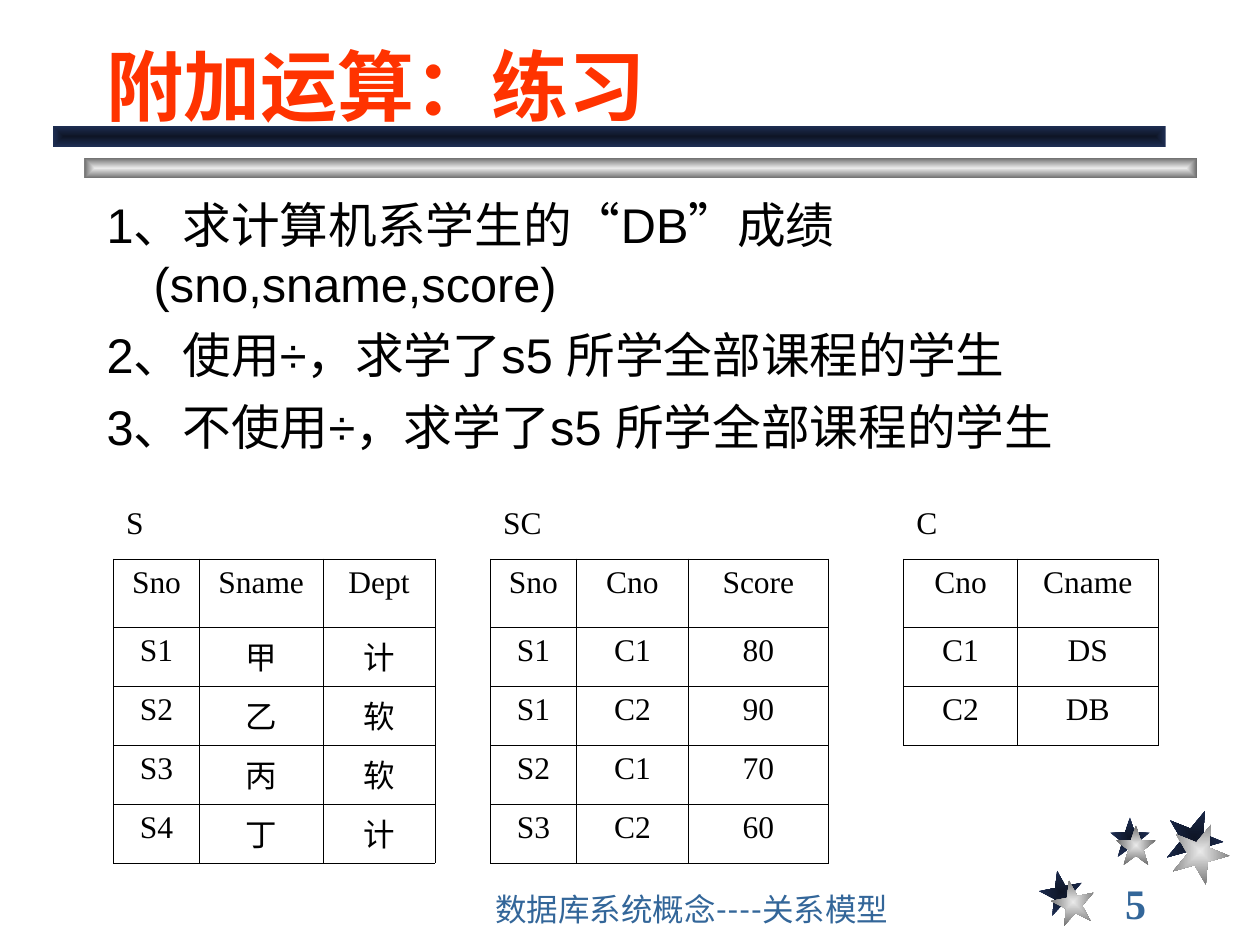
from lxml.etree import SubElement
from pptx import Presentation
from pptx.dml.color import RGBColor
from pptx.enum.shapes import MSO_SHAPE
from pptx.enum.text import MSO_ANCHOR, MSO_AUTO_SIZE, PP_ALIGN
from pptx.oxml.ns import qn
from pptx.util import Cm, Pt

# Content
TITLE = "附加运算：练习"
EXERCISES = [
    "1、求计算机系学生的“DB”成绩(sno,sname,score)",
    "2、使用÷，求学了s5 所学全部课程的学生",
    "3、不使用÷，求学了s5 所学全部课程的学生",
]
FOOTER = "数据库系统概念----关系模型"
PAGE_NUMBER = "5"

RELATIONS = [
    {"name": "S", "widths": [1.73, 2.49, 2.26], "rows": [
        ("Sno", "Sname", "Dept"), ("S1", "甲", "计"), ("S2", "乙", "软"),
        ("S3", "丙", "软"), ("S4", "丁", "计")]},
    {"name": "SC", "widths": [1.73, 2.26, 2.82], "rows": [
        ("Sno", "Cno", "Score"), ("S1", "C1", "80"), ("S1", "C2", "90"),
        ("S2", "C1", "70"), ("S3", "C2", "60")]},
    {"name": "C", "widths": [2.29, 2.84], "rows": [
        ("Cno", "Cname"), ("C1", "DS"), ("C2", "DB")]},
]
GAPS = [1.12, 1.52]  # empty columns between the relations
ROW_HEIGHTS = [1.19, 1.37, 1.19, 1.19, 1.19, 1.19]

# Colours run from the centre to the edge
NAVY = ("0E1526", "1E2E53")
SILVER = ("EAEAEA", "6C6C6C")
BLUE = "336699"

BARS = [(1.7, 3.18, SILVER), (1.07, 2.54, NAVY)]
STARS = [  # left, top, size, rotation, colours
    (20.96, 17.55, 0.87, -11, NAVY), (22.38, 16.48, 0.8, 0, NAVY),
    (23.5, 16.31, 1.15, 22, NAVY), (21.2, 17.75, 0.87, -11, SILVER),
    (22.5, 16.64, 0.8, 0, SILVER), (23.62, 16.59, 1.15, 22, SILVER),
]
STAR_OUTLINE = [
    (0, 0.38), (0.38, 0.38), (0.5, 0), (0.62, 0.38), (1, 0.38),
    (0.69, 0.62), (0.81, 1), (0.5, 0.76), (0.19, 1), (0.31, 0.62),
]
NO_GRID_STYLE = "{2D5ABB26-0587-4C30-8999-92F81FD0307C}"


def colour(code):
    return RGBColor.from_string(code)


def write(frame, *texts, size, font="Arial", color="000000", bold=False,
          align=PP_ALIGN.LEFT, space=0, hanging=0):
    for index, text in enumerate(texts):
        para = frame.paragraphs[0] if index == 0 else frame.add_paragraph()
        para.alignment = align
        if index and space:
            para.space_before = Pt(space)
        if hanging:
            properties = para._p.get_or_add_pPr()
            properties.set("marL", str(Cm(hanging)))
            properties.set("indent", str(-Cm(hanging)))
        span = para.add_run()
        span.text = text
        span.font.size, span.font.name, span.font.bold = Pt(size), font, bold
        span.font.color.rgb = colour(color)


def prepare(box, anchor):
    frame = box.text_frame
    frame.word_wrap = True
    frame.auto_size = MSO_AUTO_SIZE.NONE
    frame.vertical_anchor = anchor
    return frame


def add_text(page, place, *texts, anchor=MSO_ANCHOR.TOP, **style):
    box = page.shapes.add_textbox(*map(Cm, place))
    write(prepare(box, anchor), *texts, **style)


def shade(shape, colours):
    """Fill with a rectangular gradient, without line or shadow."""
    shape.shadow.inherit = False
    shape.line.fill.background()
    shape.fill.gradient()
    for stop, code in zip(shape.fill.gradient_stops, colours):
        stop.color.rgb = colour(code)
    for stop, position in zip(shape.fill.gradient_stops, (0, 1)):
        stop.position = position
    gradient = shape._element.spPr.find(qn("a:gradFill"))
    gradient.remove(gradient.find(qn("a:lin")))
    path = SubElement(gradient, qn("a:path"), path="rect")
    SubElement(path, qn("a:fillToRect"), l="50000", t="50000", r="50000", b="50000")


def add_star(page, left, top, size, rotation, colours):
    points = [(Cm(left + x * size), Cm(top + y * size)) for x, y in STAR_OUTLINE]
    builder = page.shapes.build_freeform(*points[0])
    builder.add_line_segments(points[1:], close=True)
    star = builder.convert_to_shape()
    star.rotation = rotation
    shade(star, colours)


def outline(cell):
    properties = cell._tc.get_or_add_tcPr()
    for side in ("lnL", "lnR", "lnT", "lnB"):
        line = SubElement(properties, qn("a:" + side), w=str(Pt(0.45)))
        fill = SubElement(line, qn("a:solidFill"))
        SubElement(fill, qn("a:srgbClr"), val="000000")


def add_relations(page, left, top):
    widths, starts = [], []
    for relation, gap in zip(RELATIONS, GAPS + [None]):
        starts.append(len(widths))
        widths += relation["widths"] + ([gap] if gap else [])
    table = page.shapes.add_table(
        len(ROW_HEIGHTS), len(widths), Cm(left), Cm(top),
        Cm(sum(widths)), Cm(sum(ROW_HEIGHTS))).table
    table.first_row = table.horz_banding = False
    table._tbl.tblPr.find(qn("a:tableStyleId")).text = NO_GRID_STYLE
    for column, width in zip(table.columns, widths):
        column.width = Cm(width)
    for row, height in zip(table.rows, ROW_HEIGHTS):
        row.height = Cm(height)

    style = {"size": 18, "font": "Times New Roman"}
    for relation, start in zip(RELATIONS, starts):
        write(table.cell(0, start).text_frame, relation["name"], **style)
        for row, values in enumerate(relation["rows"], 1):
            for column, value in enumerate(values, start):
                cell = table.cell(row, column)
                outline(cell)
                write(cell.text_frame, value, align=PP_ALIGN.CENTER, **style)
    for cell in table.iter_cells():
        cell.fill.background()


def main():
    deck = Presentation()
    deck.slide_width, deck.slide_height = Cm(25.4), Cm(19.05)
    page = deck.slides.add_slide(deck.slide_layouts[5])

    # Decoration
    for star in STARS:
        add_star(page, *star)
    for left, top, colours in BARS:
        bar = page.shapes.add_shape(
            MSO_SHAPE.RECTANGLE, Cm(left), Cm(top), Cm(22.43), Cm(0.42))
        shade(bar, colours)

    # Page number and footer
    add_text(page, (22.43, 17.78, 2.74, 0.84), PAGE_NUMBER, size=24,
             font="Times New Roman", color=BLUE, bold=True, anchor=MSO_ANCHOR.MIDDLE)
    add_text(page, (9.73, 17.98, 10.36, 0.84), FOOTER, size=18,
             font="Lato", color=BLUE, anchor=MSO_ANCHOR.BOTTOM)

    # Title and exercises
    title = page.shapes.title
    title.left, title.top, title.width, title.height = map(Cm, (1.9, 0.43, 21.6, 2.33))
    write(prepare(title, MSO_ANCHOR.BOTTOM), TITLE, size=44, color="FF3300", bold=True)
    add_text(page, (1.9, 3.81, 22.2, 6.5), *EXERCISES,
             size=27.8, space=7.5, hanging=0.95)

    # Relations
    add_relations(page, 2.29, 10.08)
    deck.save("out.pptx")


if __name__ == "__main__":
    main()
